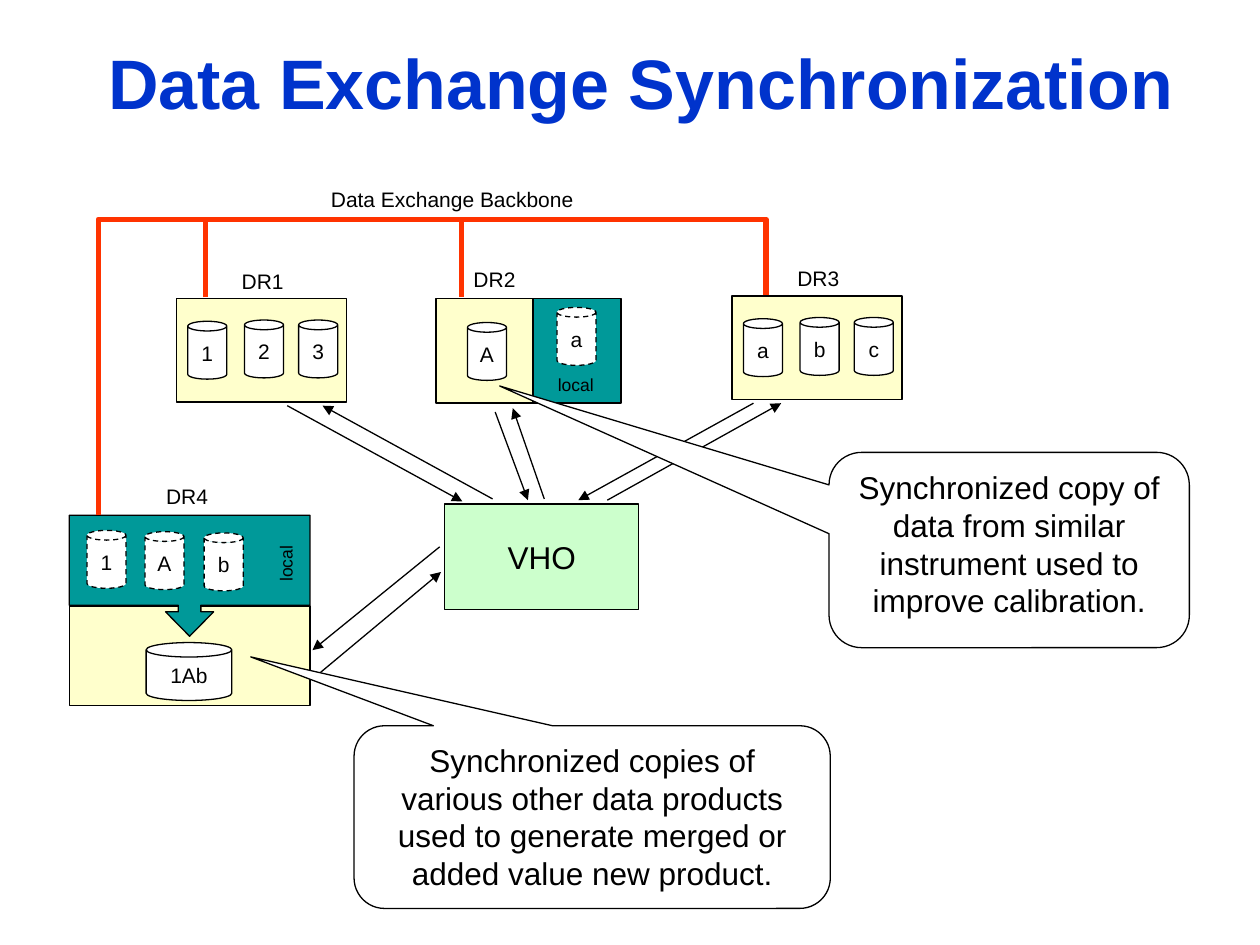
import dataclasses

import pptx
import pptx.dml.color
import pptx.enum.dml
import pptx.enum.shapes
import pptx.enum.text
import pptx.oxml
import pptx.oxml.ns
import pptx.util
from pptx.util import Inches

RGB = pptx.dml.color.RGBColor.from_string
Shape = pptx.enum.shapes.MSO_SHAPE
Align = pptx.enum.text.PP_ALIGN
Anchor = pptx.enum.text.MSO_ANCHOR


@dataclasses.dataclass(frozen=True)
class Theme:
    font: str = "Arial"
    ink: str = "000000"
    blue: str = "0033CC"
    red: str = "FF3300"
    cream: str = "FFFFCC"
    teal: str = "009999"
    mint: str = "CCFFCC"
    white: str = "FFFFFF"
    title: int = 40
    body: int = 18
    label: int = 12
    small: int = 10
    thin: float = 0.75
    thick: int = 3


theme = Theme()
deck = pptx.Presentation()
deck.slide_width, deck.slide_height = Inches(10), Inches(7.5)
slide = deck.slides.add_slide(deck.slide_layouts[5])
shapes = slide.shapes


def write(shape, text, size, color=theme.ink, align=Align.CENTER,
          anchor=Anchor.TOP, wrap=False):
    frame = shape.text_frame
    frame.text = text
    frame.word_wrap = wrap
    frame.auto_size = pptx.enum.text.MSO_AUTO_SIZE.NONE
    frame.vertical_anchor = anchor
    para = frame.paragraphs[0]
    para.alignment = align
    font = para.runs[0].font
    font.name, font.size = theme.font, pptx.util.Pt(size)
    font.color.rgb = RGB(color)


def block(kind, at, fill, adjust=(), dashed=False):
    """Add a filled preset shape with a thin outline."""
    shape = shapes.add_shape(kind, *map(Inches, at))
    shape.shadow.inherit = False
    shape.fill.solid()
    shape.fill.fore_color.rgb = RGB(fill)
    shape.line.color.rgb = RGB(theme.ink)
    shape.line.width = pptx.util.Pt(theme.thin)
    if dashed:
        shape.line.dash_style = pptx.enum.dml.MSO_LINE.DASH
    for i, value in enumerate(adjust):
        shape.adjustments[i] = value
    return shape


# Title: no side margins, so that it stays on one line
title = shapes.title
title.left, title.top = Inches(0.76), Inches(0.26)
title.width, title.height = Inches(8.65), Inches(0.77)
write(title, "Data Exchange Synchronization", theme.title, theme.blue)
title.text_frame.margin_left = title.text_frame.margin_right = 0
title.text_frame.paragraphs[0].runs[0].font.bold = True

# Repositories and the central node
for at, fill in [
    ((1.4, 2.37, 1.35, 0.82), theme.cream),
    ((3.46, 2.37, 0.77, 0.83), theme.cream),
    ((4.23, 2.37, 0.7, 0.83), theme.teal),
    ((5.81, 2.35, 1.35, 0.82), theme.cream),
    ((0.55, 4.81, 1.91, 0.79), theme.cream),
]:
    block(Shape.RECTANGLE, at, fill)
block(Shape.DOWN_ARROW_CALLOUT, (0.55, 4.09, 1.91, 0.96), theme.teal,
      (0.186, 0.199, 0.202, 0.744))
node = block(Shape.RECTANGLE, (3.53, 4, 1.54, 0.84), theme.mint)
write(node, "VHO", theme.body, anchor=Anchor.MIDDLE)

# Backbone
for start, *rest in [
    [(1.63, 2.36), (1.63, 1.74), (6.08, 1.74), (6.08, 2.34)],
    [(1.63, 1.74), (0.78, 1.74), (0.78, 4.09)],
]:
    route = shapes.build_freeform(*map(Inches, start))
    route.add_line_segments([(Inches(x), Inches(y)) for x, y in rest], close=False)
    trunk = route.convert_to_shape()
    trunk.shadow.inherit = False
    trunk.fill.background()
    trunk.line.color.rgb = RGB(theme.red)
    trunk.line.width = pptx.util.Pt(theme.thick)

# Backbone drop to DR2, then the two-way exchange arrows
for i, ends in enumerate([
    (3.66, 1.74, 3.66, 2.36),
    (2.28, 3.22, 3.67, 3.98),
    (3.91, 3.96, 2.56, 3.22),
    (3.93, 3.27, 4.19, 3.97),
    (4.32, 3.96, 4.07, 3.24),
    (5.98, 3.2, 4.59, 3.97),
    (4.82, 3.97, 6.2, 3.2),
    (2.48, 5.39, 3.5, 4.54),
    (3.49, 4.34, 2.48, 5.16),
]):
    drop = i == 0
    link = shapes.add_connector(pptx.enum.shapes.MSO_CONNECTOR.STRAIGHT,
                                *map(Inches, ends))
    link.line.color.rgb = RGB(theme.red if drop else theme.ink)
    link.line.width = pptx.util.Pt(theme.thick if drop else theme.thin)
    props = link._element.spPr
    if not drop:
        tail = pptx.oxml.parse_xml(
            f'<a:tailEnd {pptx.oxml.ns.nsdecls("a")} type="triangle"/>')
        link.line._get_or_add_ln().append(tail)
    props.append(pptx.oxml.parse_xml(
        f'<a:effectLst {pptx.oxml.ns.nsdecls("a")}/>'))

# Data stores: dashed ones are local copies
for name, x, y, width, dashed in [
    ("1", 1.49, 2.55, 0.31, False),
    ("2", 1.94, 2.54, 0.31, False),
    ("3", 2.37, 2.54, 0.31, False),
    ("A", 3.71, 2.56, 0.31, False),
    ("a", 4.42, 2.44, 0.31, True),
    ("a", 5.9, 2.53, 0.31, False),
    ("b", 6.35, 2.52, 0.31, False),
    ("c", 6.78, 2.52, 0.31, False),
    ("1", 0.69, 4.21, 0.31, True),
    ("A", 1.15, 4.22, 0.31, True),
    ("b", 1.62, 4.23, 0.31, True),
    ("1Ab", 1.16, 5.1, 0.68, False),
]:
    store = block(Shape.CAN, (x, y, width, 0.46), theme.white, (0.25,), dashed)
    write(store, name, theme.label, anchor=Anchor.MIDDLE)

# Labels
for text, at, size, align, turn in [
    ("Data Exchange Backbone", (2.53, 1.43, 2.12, 0.3), theme.label, Align.CENTER, 0),
    ("DR1", (1.82, 2.08, 0.53, 0.3), theme.label, Align.LEFT, 0),
    ("DR2", (3.66, 2.07, 0.53, 0.3), theme.label, Align.LEFT, 0),
    ("DR3", (6.23, 2.06, 0.53, 0.3), theme.label, Align.LEFT, 0),
    ("DR4", (1.22, 3.79, 0.53, 0.3), theme.label, Align.LEFT, 0),
    ("local", (4.33, 2.92, 0.48, 0.27), theme.small, Align.CENTER, 0),
    ("local", (2.03, 4.34, 0.48, 0.27), theme.small, Align.CENTER, 270),
]:
    label = shapes.add_textbox(*map(Inches, at))
    label.rotation = turn
    write(label, text, size, align=align)

# Callouts
for text, at, adjust in [
    ("Synchronized copy of data from similar instrument used to "
     "improve calibration.",
     (6.58, 3.59, 2.86, 1.55), (-1.414, -0.84, 0.167)),
    ("Synchronized copies of various other data products used to "
     "generate merged or added value new product.",
     (2.81, 5.76, 3.78, 1.45), (-0.717, -0.877, 0.167)),
]:
    note = block(Shape.ROUNDED_RECTANGULAR_CALLOUT, at, theme.white, adjust)
    write(note, text, theme.body, wrap=True)

deck.save("out.pptx")
